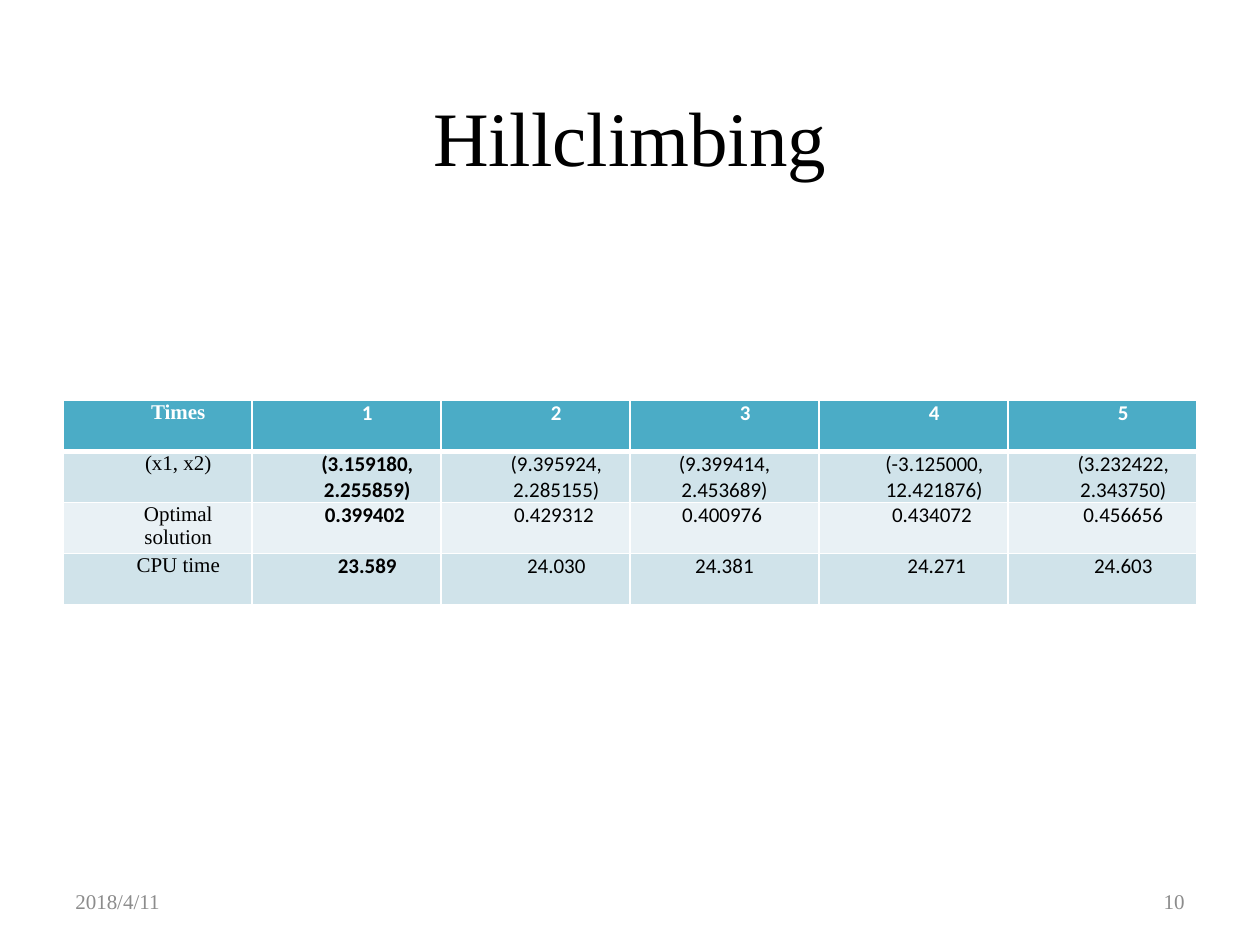
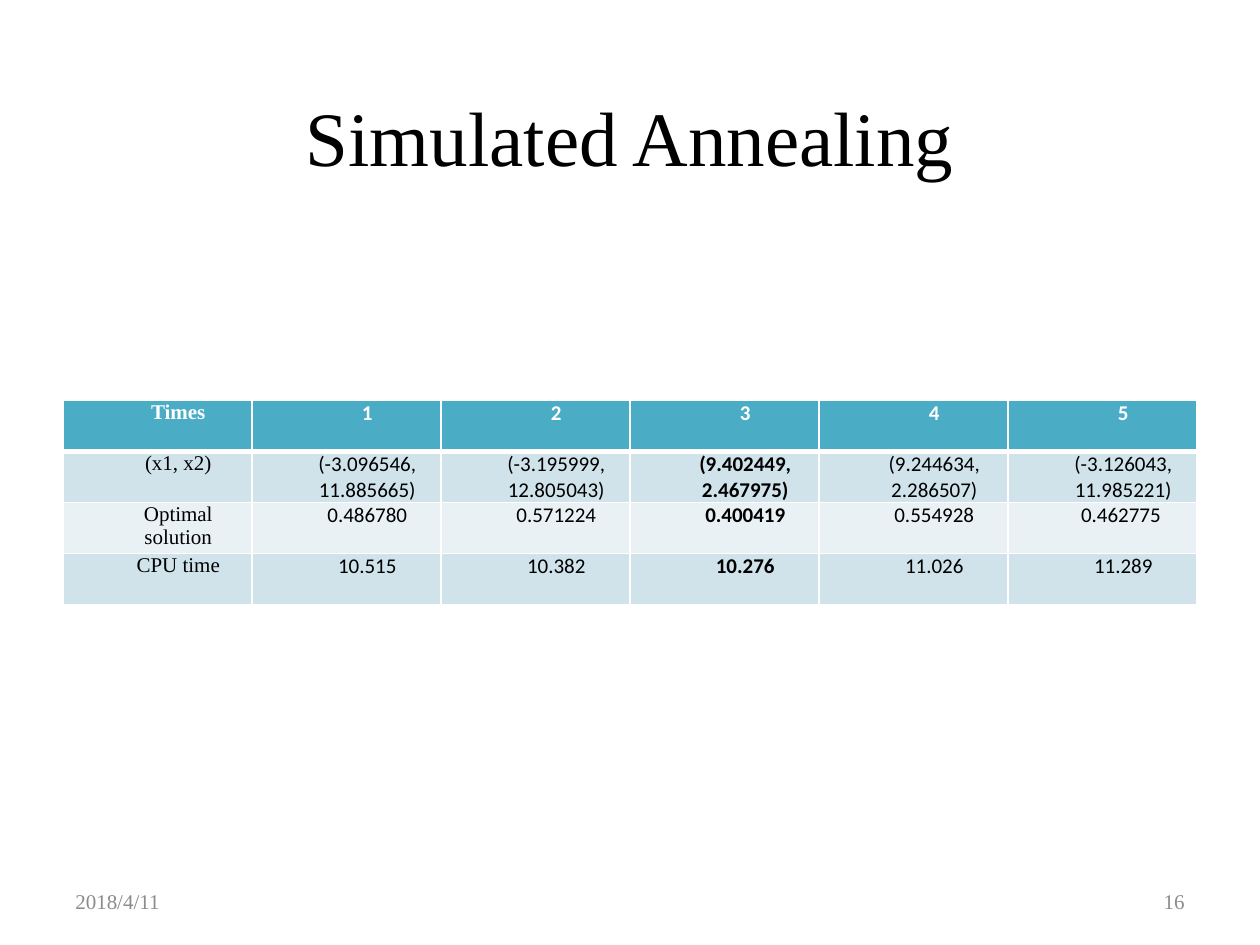
"""Build two slides that tabulate the results of two search algorithms."""
import pptx
import pptx.util
import pptx.dml.color
import pptx.enum.text
import pptx.oxml.ns
from lxml import etree

Inches, Pt = pptx.util.Inches, pptx.util.Pt
ALIGN = pptx.enum.text.PP_ALIGN
ANCHOR = pptx.enum.text.MSO_ANCHOR

DATE = "2018/4/11"
HEADER = ["Times", "1", "2", "3", "4", "5"]
RESULTS = [
    {
        "title": "Hillclimbing",
        "number": "10",
        "best_column": 1,
        "unindented_column": 3,
        "rows": [
            ["(x1, x2)", "(3.159180, 2.255859)", "(9.395924, 2.285155)", "(9.399414, 2.453689)",
             "(-3.125000, 12.421876)", "(3.232422, 2.343750)"],
            ["Optimal solution", "0.399402 ", "0.429312 ", "0.400976 ", "0.434072 ", " 0.456656 "],
            ["CPU time", "23.589", "24.030", "24.381", " 24.271", "24.603"],
        ],
    },
    {
        "title": "Simulated Annealing",
        "number": "16",
        "best_column": 3,
        "unindented_column": None,
        "rows": [
            ["(x1, x2)", "(-3.096546, 11.885665)", "(-3.195999, 12.805043)", "(9.402449, 2.467975)",
             "(9.244634, 2.286507)", "(-3.126043, 11.985221)"],
            ["Optimal solution", "0.486780", "0.571224", "0.400419", " 0.554928 ", "0.462775 "],
            ["CPU time", "10.515", "10.382", "10.276", "11.026", "11.289"],
        ],
    },
]

SERIF, SANS = "Times New Roman", "Calibri"
BLACK, WHITE, GREY = "000000", "FFFFFF", "8C8C8C"
HEADER_FILL = "4BACC6"
BAND_FILLS = ["E9F1F5", "D0E3EA"]
MARGIN, CONTENT_WIDTH = 0.5, 9
FOOTER_TOP, FOOTER_WIDTH, FOOTER_HEIGHT = 6.95, 2.33, 0.4


def color(value):
    return pptx.dml.color.RGBColor.from_string(value)


def style(paragraph, size, font_name, font_color, alignment, bold=False):
    paragraph.alignment = alignment
    font = paragraph.font
    font.size, font.name, font.bold = Pt(size), font_name, bold
    font.color.rgb = color(font_color)


def add_text(slide, text, left, top, width, height, size, font_color, alignment):
    box = slide.shapes.add_textbox(Inches(left), Inches(top), Inches(width), Inches(height))
    frame = box.text_frame
    frame.word_wrap = True
    frame.vertical_anchor = ANCHOR.MIDDLE
    frame.text = text
    style(frame.paragraphs[0], size, SERIF, font_color, alignment)


def add_borders(cell, widths):
    properties = cell._tc.get_or_add_tcPr()
    for side, width in widths.items():
        line = etree.SubElement(properties, pptx.oxml.ns.qn(f"a:ln{side}"), w=str(Pt(width)))
        fill = etree.SubElement(line, pptx.oxml.ns.qn("a:solidFill"))
        etree.SubElement(fill, pptx.oxml.ns.qn("a:srgbClr"), val=WHITE)


def fill_cell(cell, text, row, column, result):
    is_header = row == 0
    cell.margin_left = cell.margin_right = Inches(0.07)
    cell.margin_top = cell.margin_bottom = 0
    add_borders(cell, {"L": 1, "R": 1, "T": 3 if row == 1 else 1, "B": 3 if is_header else 1})
    cell.fill.solid()
    cell.fill.fore_color.rgb = color(HEADER_FILL if is_header else BAND_FILLS[row % 2])
    cell.text = text
    paragraph = cell.text_frame.paragraphs[0]
    style(paragraph, 12, SANS if column else SERIF, WHITE if is_header else BLACK,
          ALIGN.CENTER, is_header or column == result["best_column"])
    if is_header or column != result["unindented_column"]:
        paragraph._p.get_or_add_pPr().set("marL", str(Inches(0.33)))


def add_results_table(slide, result):
    rows = [HEADER] + result["rows"]
    table = slide.shapes.add_table(len(rows), len(HEADER), Inches(MARGIN), Inches(3.18),
                                   Inches(CONTENT_WIDTH), Inches(1.62)).table
    for row, texts in enumerate(rows):
        for column, text in enumerate(texts):
            fill_cell(table.cell(row, column), text, row, column, result)


def add_result_slide(presentation, result):
    slide = presentation.slides.add_slide(presentation.slide_layouts[6])
    number_left = MARGIN + CONTENT_WIDTH - FOOTER_WIDTH
    for text, left, alignment in [(DATE, MARGIN, ALIGN.LEFT),
                                  (result["number"], number_left, ALIGN.RIGHT)]:
        add_text(slide, text, left, FOOTER_TOP, FOOTER_WIDTH, FOOTER_HEIGHT, 12, GREY, alignment)
    add_text(slide, result["title"], MARGIN, 0.45, CONTENT_WIDTH, 1.25, 44, BLACK, ALIGN.CENTER)
    add_results_table(slide, result)


def main():
    presentation = pptx.Presentation()
    presentation.slide_width, presentation.slide_height = Inches(10), Inches(7.5)
    for result in RESULTS:
        add_result_slide(presentation, result)
    presentation.save("out.pptx")


if __name__ == "__main__":
    main()
